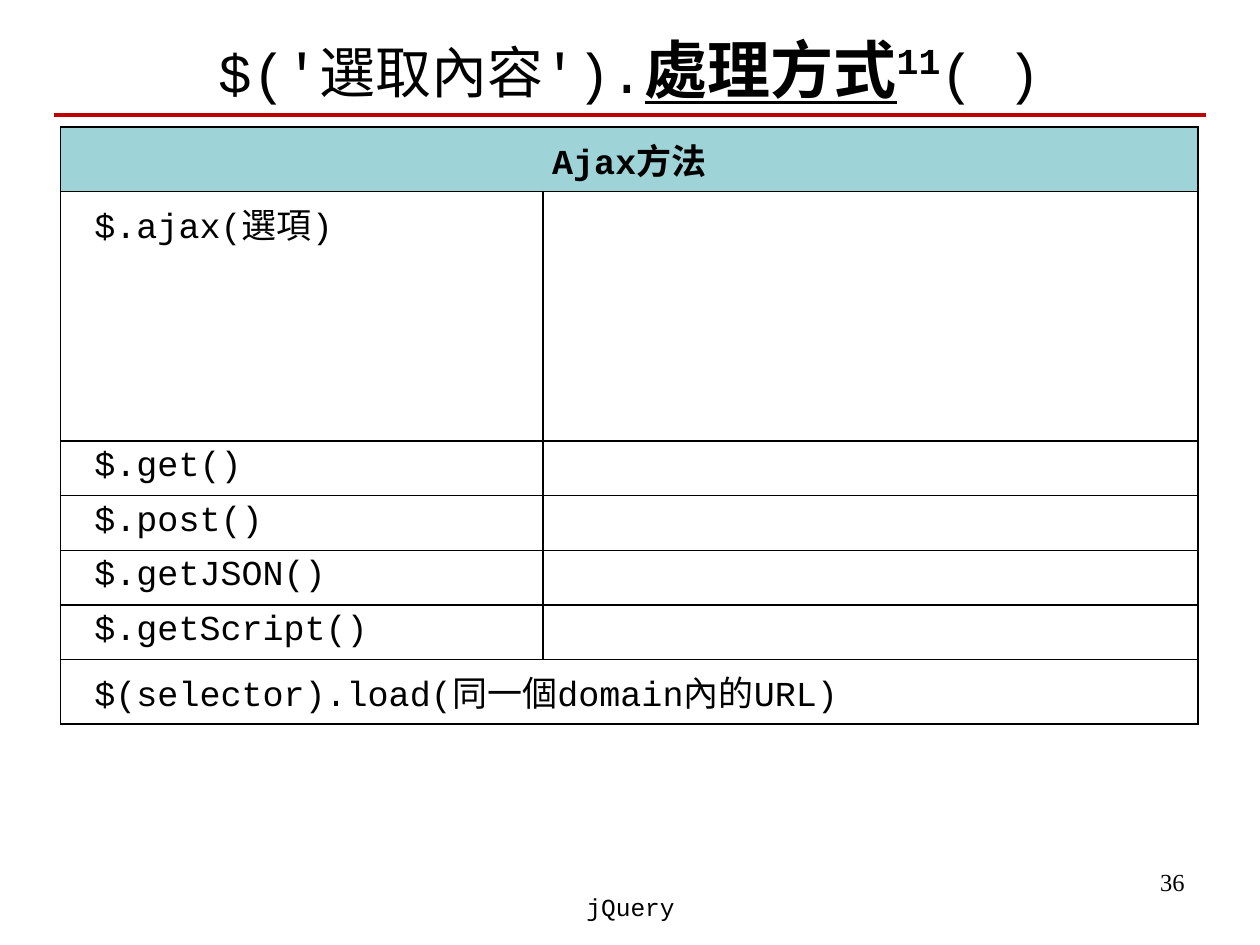
from lxml import etree
from pptx import Presentation
from pptx.dml.color import RGBColor
from pptx.enum import shapes, text
from pptx.oxml import ns
from pptx.util import Inches, Pt

MONO, SERIF = "Courier New", "Times New Roman"
BLACK, RED, TEAL = "000000", "C00000", "9ED3D7"
MID, RIGHT = text.PP_ALIGN.CENTER, text.PP_ALIGN.RIGHT

# text, size, bold and underlined, superscript
TITLE = [
    ("$('選取內容').", 32, False, False),
    ("處理方式", 36, True, False),
    ("11", 36, True, True),
    ("( )", 32, False, False),
]
# text, row height, spans both columns
ROWS = [
    ("Ajax方法", 0.51, True),
    ("$.ajax(選項)", 1.98, False),
    ("$.get()", 0.43, False),
    ("$.post()", 0.41, False),
    ("$.getJSON()", 0.42, False),
    ("$.getScript()", 0.42, False),
    ("$(selector).load(同一個domain內的URL)", 0.51, True),
]
COLS = [3.83, 5.2]
# text, box, font, alignment
NOTES = [
    ("36", (7.17, 6.83, 2.33, 0.52), SERIF, RIGHT),
    ("jQuery", (3.42, 7.03, 3.17, 0.5), MONO, MID),
]


def color(code):
    return RGBColor.from_string(code)


def style(font, size, name=MONO, bold=False):
    font.size, font.name, font.bold = Pt(size), name, bold
    font.color.rgb = color(BLACK)


def border(cell):
    props = cell._tc.get_or_add_tcPr()
    for side in ("lnL", "lnR", "lnT", "lnB"):
        line = etree.SubElement(props, ns.qn("a:" + side), w=str(Pt(1)))
        fill = etree.SubElement(line, ns.qn("a:solidFill"))
        etree.SubElement(fill, ns.qn("a:srgbClr"), val=BLACK)


def add_title(slide):
    box = slide.shapes.title
    box.left, box.top, box.width, box.height = map(Inches, (0.5, 0.16, 9, 0.76))
    frame = box.text_frame
    frame.vertical_anchor = text.MSO_ANCHOR.MIDDLE
    para = frame.paragraphs[0]
    para.alignment = MID
    for words, size, bold, raised in TITLE:
        run = para.add_run()
        run.text = words
        style(run.font, size, bold=bold)
        run.font.underline = bold and not raised
        if raised:
            run.font._element.set("baseline", "30000")


def add_rule(slide):
    line = slide.shapes.add_connector(
        shapes.MSO_CONNECTOR.STRAIGHT, *map(Inches, (0.43, 0.91, 9.57, 0.91)))
    line.line.color.rgb = color(RED)
    line.line.width = Pt(2.25)
    etree.SubElement(line._element.spPr, ns.qn("a:effectLst"))


def add_methods(slide):
    high = sum(row[1] for row in ROWS)
    table = slide.shapes.add_table(
        len(ROWS), len(COLS), Inches(0.48), Inches(1.01),
        Inches(sum(COLS)), Inches(high)).table
    table.first_row = table.horz_banding = False
    for col, width in zip(table.columns, COLS):
        col.width = Inches(width)
    for i, (words, height, wide) in enumerate(ROWS):
        table.rows[i].height = Inches(height)
        head = i == 0
        for cell in table.rows[i].cells:
            border(cell)
            if head:
                cell.fill.solid()
                cell.fill.fore_color.rgb = color(TEAL)
            else:
                cell.fill.background()
        first = table.cell(i, 0)
        if wide:
            first.merge(table.cell(i, 1))
        first.text_frame.text = words
        para = first.text_frame.paragraphs[0]
        style(para.runs[0].font, 20, bold=head)
        if head:
            para.alignment = MID
        else:
            first.margin_left = Inches(0.27)


def add_notes(slide):
    for words, box, name, align in NOTES:
        frame = slide.shapes.add_textbox(*map(Inches, box)).text_frame
        frame.word_wrap = True
        frame.text = words
        para = frame.paragraphs[0]
        para.alignment = align
        style(para.runs[0].font, 14, name)


def main():
    deck = Presentation()
    deck.slide_width, deck.slide_height = Inches(10), Inches(7.5)
    slide = deck.slides.add_slide(deck.slide_layouts[5])
    add_title(slide)
    add_rule(slide)
    add_notes(slide)
    add_methods(slide)
    deck.save("out.pptx")


if __name__ == "__main__":
    main()
